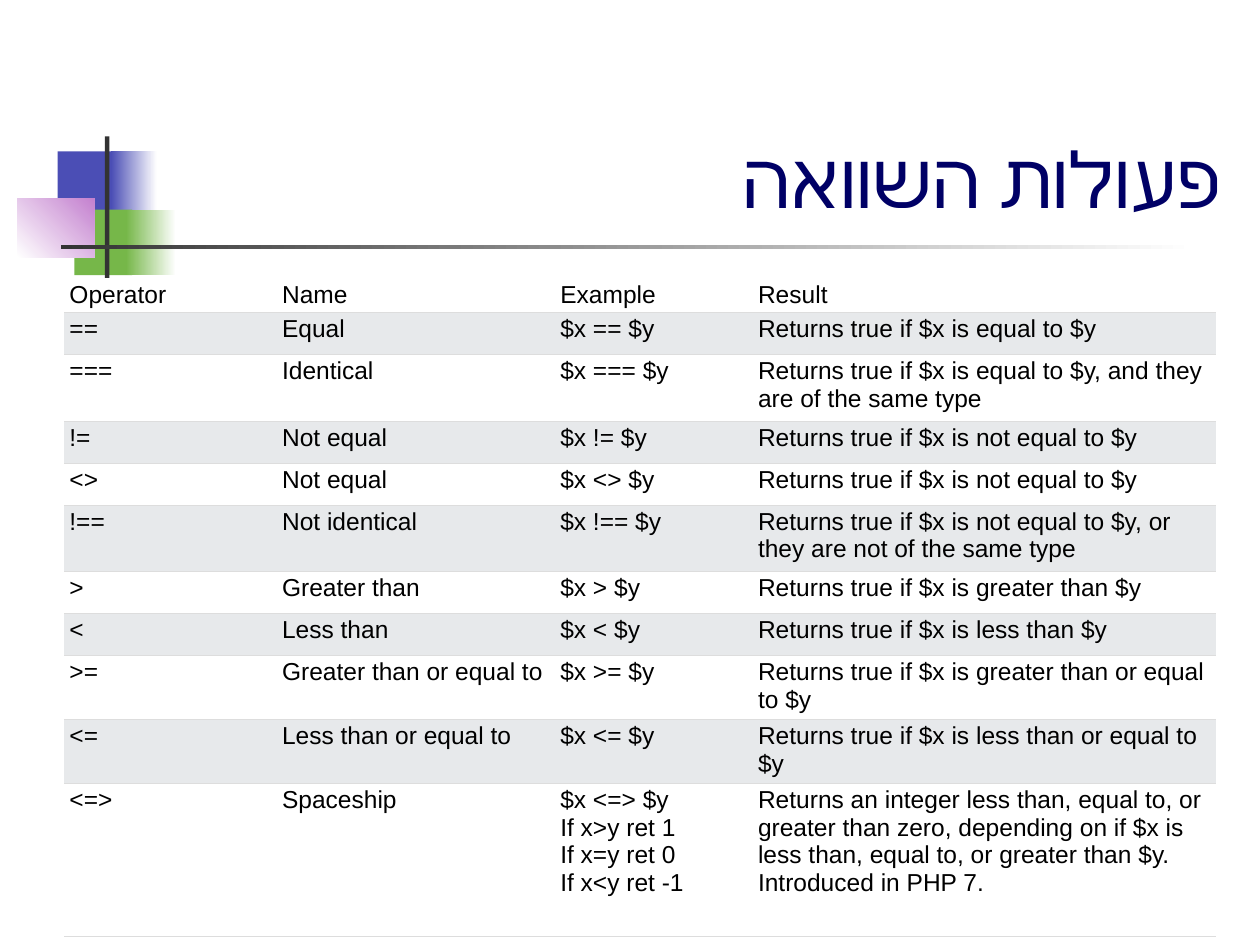
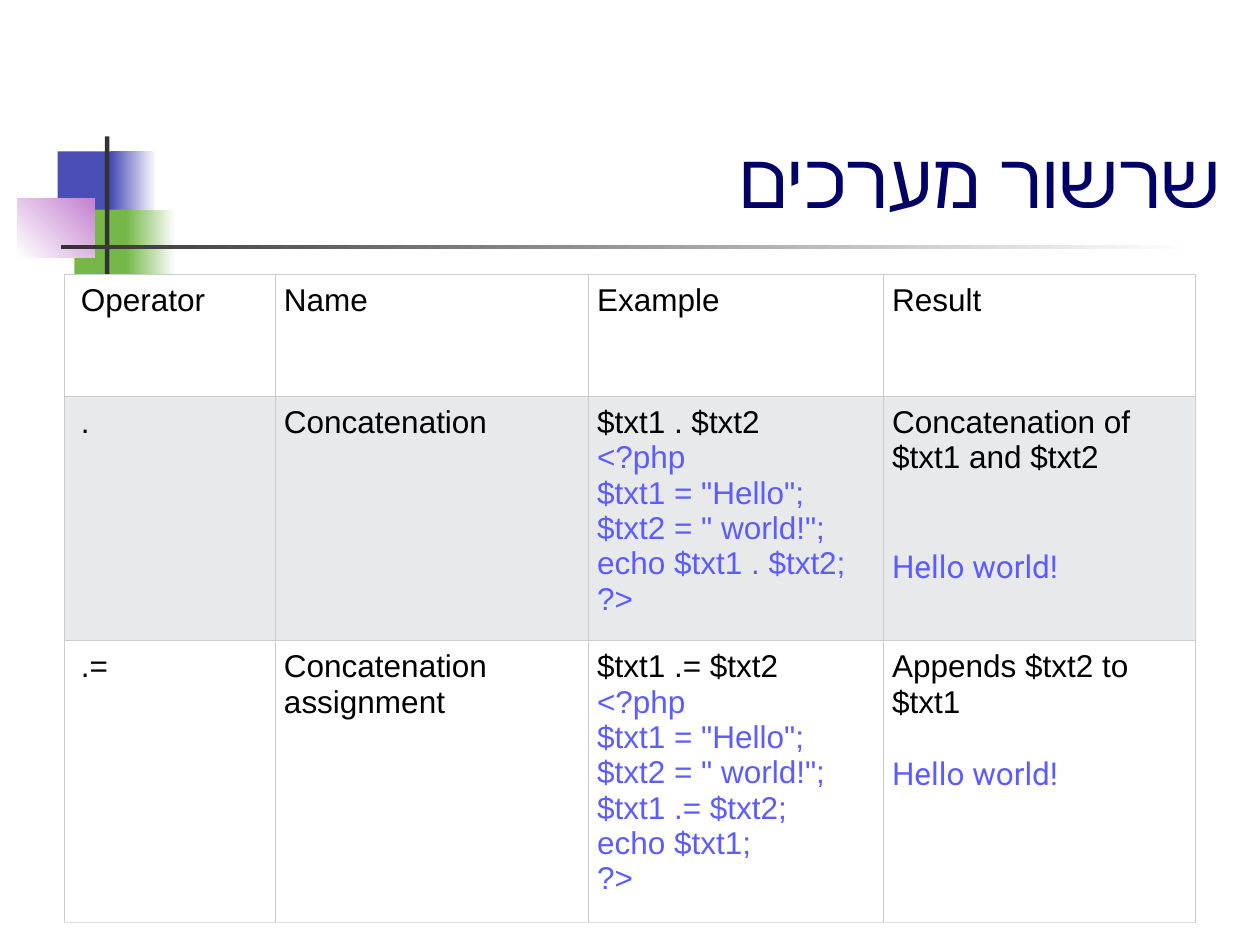
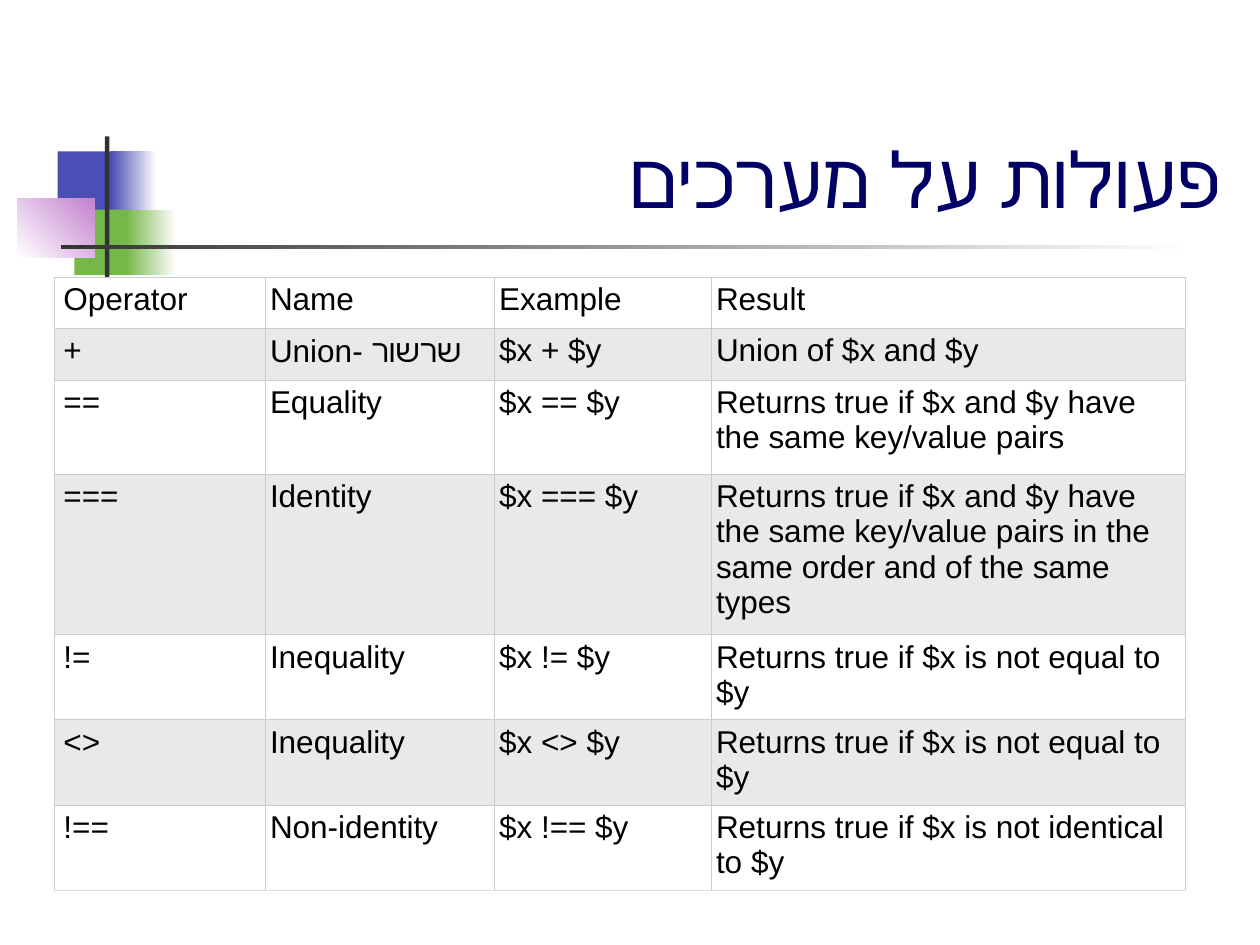
"""Builds three slides of operator tables with a shared title and ornament."""
from lxml import etree
from pptx import Presentation
from pptx.dml.color import RGBColor
from pptx.enum.shapes import MSO_SHAPE
from pptx.enum.text import MSO_ANCHOR, PP_ALIGN
from pptx.oxml.ns import qn
from pptx.util import Pt

RECT = MSO_SHAPE.RECTANGLE
BOTTOM = MSO_ANCHOR.BOTTOM
RIGHT = PP_ALIGN.RIGHT

COLORS = {
    "white": "FFFFFF", "black": "000000", "title": "000066", "code": "5C5CFF",
    "blue": "4B4EB5", "green": "76B749", "pink": "C481CF", "dark": "333333",
    "band": "E7E9EB", "grid": "CCCCCC", "rule": "DDDDDD",
}
HEAD_FONT = "Roboto"
BODY_FONT = "Arial"
ORNAMENT = [
    ((33, 86.5, 34.5, 37.5), ("blue",), 0),
    ((63.5, 86.5, 26, 37.5), ("blue", "white"), 0),
    ((42.5, 119.75, 33, 37.5), ("green",), 0),
    ((72, 119.75, 28.5, 37.5), ("green", "white"), 0),
    ((10, 113.5, 44, 33.5), ("white", "pink"), 45),
    ((60, 78, 2.5, 82.5), ("dark",), 0),
    ((35, 140, 648, 2.5), ("dark", "white"), 0),
]
HEADER = ["Operator", "Name", "Example", "Result"]


def rgb(name):
    return RGBColor.from_string(COLORS[name])


def code(*lines):
    return [(line, {"color": "code"}) for line in lines]


def output(text, gap):
    return (text, {"color": "code", "font": HEAD_FONT, "before": gap})


class Deck:
    def __init__(self):
        self.prs = Presentation()
        self.prs.slide_width, self.prs.slide_height = Pt(720), Pt(540)
        self.s = None

    def slide(self, title):
        self.s = self.prs.slides.add_slide(self.prs.slide_layouts[6])
        for box, colors, angle in ORNAMENT:
            self.rect(box, colors, angle)
        self.title(title)

    def rect(self, box, colors, angle):
        sp = self.s.shapes.add_shape(RECT, *map(Pt, box))
        sp.shadow.inherit = False
        sp.line.fill.background()
        if len(colors) == 1:
            sp.fill.solid()
            sp.fill.fore_color.rgb = rgb(colors[0])
            return
        sp.fill.gradient()
        sp.fill.gradient_angle = angle
        for stop, color, pos in zip(sp.fill.gradient_stops, colors, (0, 1)):
            stop.color.rgb = rgb(color)
            stop.position = pos

    def run(self, p, text, size, color="black", font=BODY_FONT):
        r = p.add_run()
        r.text = text
        r.font.size = Pt(size)
        r.font.name = font
        r.font.color.rgb = rgb(color)
        etree.SubElement(r.font._element, qn("a:cs"), typeface=HEAD_FONT)

    def title(self, text):
        tf = self.s.shapes.add_textbox(Pt(91), Pt(16.5), Pt(613.5), Pt(115)).text_frame
        tf.word_wrap = True
        tf.vertical_anchor = BOTTOM
        p = tf.paragraphs[0]
        p.alignment = RIGHT
        p._p.get_or_add_pPr().set("rtl", "1")
        self.run(p, text, 44, "title", HEAD_FONT)

    def border(self, cell, side, color):
        ln = etree.SubElement(cell._tc.get_or_add_tcPr(), qn("a:ln" + side))
        if color is None:
            ln.set("w", "0")
            etree.SubElement(ln, qn("a:noFill"))
            return
        ln.set("w", str(Pt(0.6)))
        fill = etree.SubElement(ln, qn("a:solidFill"))
        etree.SubElement(fill, qn("a:srgbClr"), val=COLORS[color])

    def cell(self, cell, content, size, fill, margins, borders):
        for side, color in borders.items():
            self.border(cell, side, color)
        cell.fill.solid()
        cell.fill.fore_color.rgb = rgb(fill)
        left, other = margins
        cell.margin_left = Pt(left)
        cell.margin_top = cell.margin_right = cell.margin_bottom = Pt(other)
        tf = cell.text_frame
        for i, item in enumerate([content] if isinstance(content, str) else content):
            text, style = (item, {}) if isinstance(item, str) else item
            p = tf.paragraphs[0] if i == 0 else tf.add_paragraph()
            p.space_before = Pt(style.get("before", 0))
            self.run(p, text, size, style.get("color", "black"), style.get("font", BODY_FONT))

    def table(self, pos, cols, heights, body, size, margins, vertical, horizontal):
        rows = [HEADER] + body
        frame = self.s.shapes.add_table(len(rows), len(cols), *map(Pt, pos),
                                        Pt(sum(cols)), Pt(sum(heights)))
        tbl = frame.table
        tbl.first_row = tbl.horz_banding = False
        for col, width in zip(tbl.columns, cols):
            col.width = Pt(width)
        for i, (row, height) in enumerate(zip(rows, heights)):
            tbl.rows[i].height = Pt(height)
            below = "rule" if i == len(rows) - 1 else horizontal
            borders = {"L": vertical, "R": vertical, "T": horizontal, "B": below}
            if i == 0 and vertical is None:
                borders["T"] = None
            for j, content in enumerate(row):
                left = margins[0] if j == 0 else margins[1]
                self.cell(tbl.cell(i, j), content, size, "band" if i % 2 else "white",
                          (left, margins[1]), borders)


COMPARISONS = [
    ["==", "Equal", "$x == $y", "Returns true if $x is equal to $y"],
    ["===", "Identical", "$x === $y",
     "Returns true if $x is equal to $y, and they are of the same type"],
    ["!=", "Not equal", "$x != $y", "Returns true if $x is not equal to $y"],
    ["<>", "Not equal", "$x <> $y", "Returns true if $x is not equal to $y"],
    ["!==", "Not identical", "$x !== $y",
     "Returns true if $x is not equal to $y, or they are not of the same type"],
    [">", "Greater than", "$x > $y", "Returns true if $x is greater than $y"],
    ["<", "Less than", "$x < $y", "Returns true if $x is less than $y"],
    [">=", "Greater than or equal to", "$x >= $y",
     "Returns true if $x is greater than or equal to $y"],
    ["<=", "Less than or equal to", "$x <= $y",
     "Returns true if $x is less than or equal to $y"],
    ["<=>", "Spaceship",
     ["$x <=> $y", "If x>y ret 1", "If x=y ret 0", "If x<y ret -1"],
     "Returns an integer less than, equal to, or greater than zero, depending on if $x is "
     "less than, equal to, or greater than $y. Introduced in PHP 7."],
]
SETUP = ["<?php", '$txt1 = "Hello";', '$txt2 = " world!";']
CONCATENATIONS = [
    [".", "Concatenation",
     ["$txt1 . $txt2", *code(*SETUP, "echo $txt1 . $txt2;", "?>")],
     ["Concatenation of $txt1 and $txt2", output("Hello world!", 42)]],
    [".=", "Concatenation assignment",
     ["$txt1 .= $txt2", *code(*SETUP, "$txt1 .= $txt2;", "echo $txt1;", "?>")],
     ["Appends $txt2 to $txt1", output("Hello world!", 21)]],
]
ARRAY_OPERATIONS = [
    ["+", "Union- שרשור", "$x + $y", "Union of $x and $y"],
    ["==", "Equality", "$x == $y",
     "Returns true if $x and $y have the same key/value pairs"],
    ["===", "Identity", "$x === $y",
     "Returns true if $x and $y have the same key/value pairs in the same order and of the "
     "same types"],
    ["!=", "Inequality", "$x != $y", "Returns true if $x is not equal to $y"],
    ["<>", "Inequality", "$x <> $y", "Returns true if $x is not equal to $y"],
    ["!==", "Non-identity", "$x !== $y", "Returns true if $x is not identical to $y"],
]


def main():
    deck = Deck()
    deck.slide("פעולות השוואה")
    deck.table((36.7, 159), (123, 159, 113, 263),
               (18.3, 24, 38, 24, 24, 38, 24, 24, 34.3, 34.3, 87),
               COMPARISONS, 14, (3, 1.5), None, "rule")
    deck.slide("שרשור מערכים")
    deck.table((36.7, 156.8), (120.6, 178.9, 168.6, 178.4), (69.7, 134.2, 151),
               CONCATENATIONS, 18, (9.5, 5), "grid", "grid")
    deck.slide("פעולות על מערכים")
    deck.table((31, 158.5), (120.6, 130.9, 124, 270.9),
               (29.3, 29.5, 53.7, 89.8, 45.6, 45.6, 45.6),
               ARRAY_OPERATIONS, 18, (5.3, 2.7), "grid", "grid")
    deck.prs.save("out.pptx")


if __name__ == "__main__":
    main()
